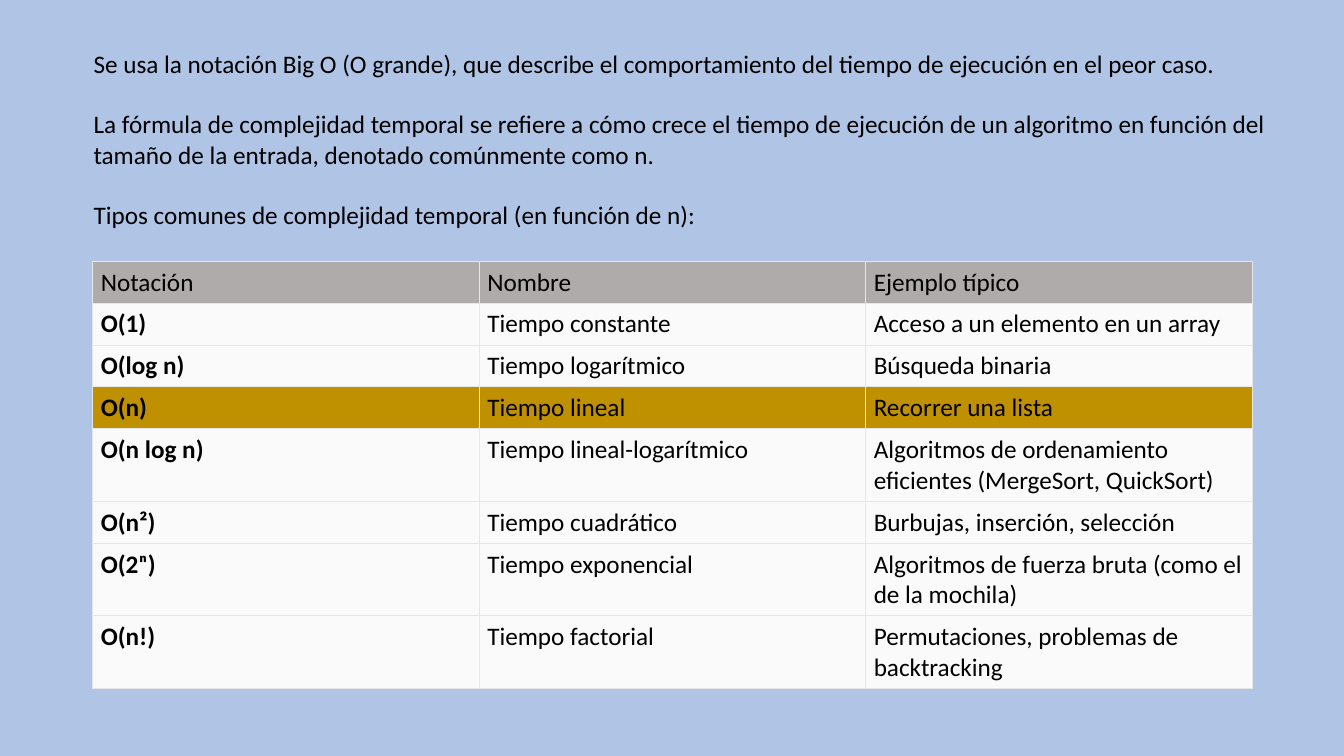
from lxml import etree
from pptx import Presentation
from pptx import util as u
from pptx.dml.color import RGBColor
from pptx.enum import text
from pptx.oxml.ns import qn

COLORS = {
    "background": "B0C4E6",
    "ink": "000000",
    "header": "AFABAB",
    "row": "FAFAFA",
    "highlight": "BF9000",
    "border": "E6E6E6",
}
INTRO = [
    "Se usa la notación Big O (O grande), que describe el comportamiento del tiempo de ejecución en el peor caso.",
    "La fórmula de complejidad temporal se refiere a cómo crece el tiempo de ejecución de un algoritmo "
    "en función del tamaño de la entrada, denotado comúnmente como n.",
    "Tipos comunes de complejidad temporal (en función de n):",
]
COMPLEXITIES = [
    ("Notación", "Nombre", "Ejemplo típico"),
    ("O(1)", "Tiempo constante", "Acceso a un elemento en un array"),
    ("O(log n)", "Tiempo logarítmico", "Búsqueda binaria"),
    ("O(n)", "Tiempo lineal", "Recorrer una lista"),
    ("O(n log n)", "Tiempo lineal-logarítmico", "Algoritmos de ordenamiento eficientes (MergeSort, QuickSort)"),
    ("O(n²)", "Tiempo cuadrático", "Burbujas, inserción, selección"),
    ("O(2ⁿ)", "Tiempo exponencial", "Algoritmos de fuerza bruta (como el de la mochila)"),
    ("O(n!)", "Tiempo factorial", "Permutaciones, problemas de backtracking"),
]
HIGHLIGHTED = "O(n)"
LINE_CAPACITY = 35


class SlideBuilder:
    """Draw styled elements on the current slide."""

    def __init__(self, slide, font="Calibri", size=18):
        self.slide = slide
        self.font = font
        self.size = size

    def color(self, name):
        return RGBColor.from_string(COLORS[name])

    def background(self, name):
        fill = self.slide.background.fill
        fill.solid()
        fill.fore_color.rgb = self.color(name)

    def style(self, paragraph, bold=False):
        paragraph.font.name = self.font
        paragraph.font.size = u.Pt(self.size)
        paragraph.font.bold = bold
        paragraph.font.color.rgb = self.color("ink")

    def paragraphs(self, lines, left, top, width, height, gap):
        box = self.slide.shapes.add_textbox(*map(u.Inches, (left, top, width, height)))
        frame = box.text_frame
        frame.word_wrap = True
        frame.auto_size = text.MSO_AUTO_SIZE.SHAPE_TO_FIT_TEXT
        for index, line in enumerate(lines):
            paragraph = frame.add_paragraph() if index else frame.paragraphs[0]
            paragraph.text = line
            if index:
                paragraph.space_before = u.Pt(gap)
            self.style(paragraph)

    def borders(self, cell):
        properties = cell._tc.get_or_add_tcPr()
        for index, side in enumerate(("lnL", "lnR", "lnT", "lnB")):
            line = etree.Element(qn(f"a:{side}"), w=str(u.Pt(0.5)))
            solid = etree.SubElement(line, qn("a:solidFill"))
            etree.SubElement(solid, qn("a:srgbClr"), val=COLORS["border"])
            properties.insert(index, line)

    def cell(self, cell, content, fill, bold):
        cell.margin_left = u.Inches(0.08)
        cell.margin_top = cell.margin_right = u.Inches(0.06)
        cell.margin_bottom = u.Inches(0.05)
        cell.text = content
        self.style(cell.text_frame.paragraphs[0], bold)
        cell.fill.solid()
        cell.fill.fore_color.rgb = self.color(fill)
        self.borders(cell)

    def table(self, rows, left, top, width):
        heights = [u.Inches(0.71 if len(row[-1]) > LINE_CAPACITY else 0.41) for row in rows]
        grid = self.slide.shapes.add_table(
            len(rows), len(rows[0]), u.Inches(left), u.Inches(top), u.Inches(width), sum(heights)
        ).table
        grid.horz_banding = False
        for r, row in enumerate(rows):
            grid.rows[r].height = heights[r]
            fill = "header" if r == 0 else "highlight" if row[0] == HIGHLIGHTED else "row"
            for c, content in enumerate(row):
                self.cell(grid.cell(r, c), content, fill, bold=r > 0 and c == 0)


def main():
    deck = Presentation()
    deck.slide_width, deck.slide_height = u.Inches(13.33), u.Inches(7.5)
    builder = SlideBuilder(deck.slides.add_slide(deck.slide_layouts[6]))
    builder.background("background")
    builder.table(COMPLEXITIES, 0.92, 2.59, 11.5)
    builder.paragraphs(INTRO, 0.83, 0.43, 12, 1.92, gap=21.6)
    deck.save("out.pptx")


if __name__ == "__main__":
    main()
